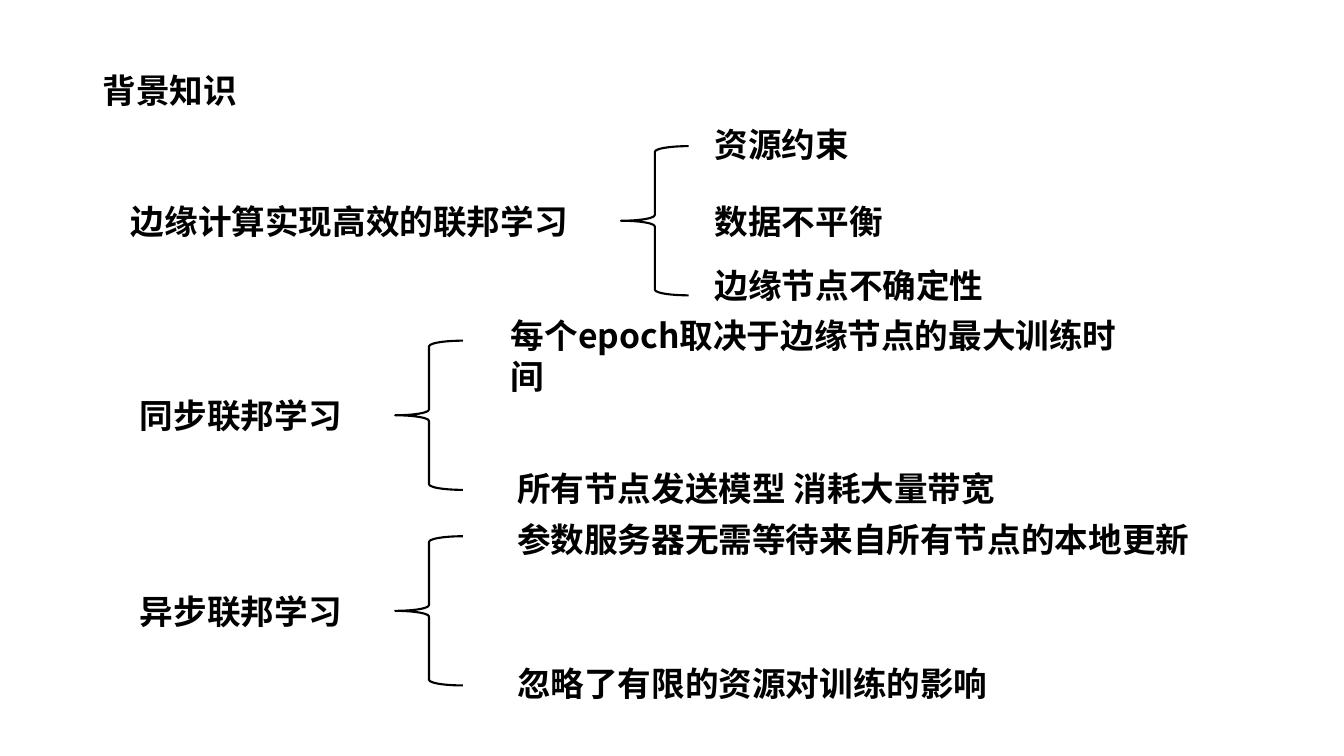
"""Builds a slide of federated learning background with braced branches."""
import pptx
import pptx.util
import pptx.dml.color
import pptx.enum.shapes
import pptx.enum.text
import pptx.oxml.ns
import lxml.etree

Inches = pptx.util.Inches
FONT = "Noto Sans CJK SC"
COLORS = {"ink": "000000", "paper": "FFFFFF"}
LINE_HEIGHT = 0.5
BRACE_SIZE = (0.67, 1.48)

TITLE = ("背景知识", 0.92, 0.64, 5.08, True)
GROUPS = [
    {
        "topic": ("边缘计算实现高效的联邦学习", 1.2, 1.94, 4.71, True),
        "brace_left": 6.16,
        "points": [
            ("资源约束", 6.99, 1.18, 1.53, False),
            ("数据不平衡", 6.99, 1.94, 1.87, False),
            ("边缘节点不确定性", 6.99, 2.58, 2.87, False),
        ],
    },
    {
        "topic": ("同步联邦学习", 1.29, 3.87, 2.2, False),
        "brace_left": 3.92,
        "points": [
            ("每个epoch取决于边缘节点的最大训练时间", 4.97, 3.08, 6.46, True),
            ("所有节点发送模型 消耗大量带宽", 5.03, 4.59, 4.96, False),
        ],
    },
    {
        "topic": ("异步联邦学习", 1.29, 5.81, 2.2, False),
        "brace_left": 3.92,
        "points": [
            ("参数服务器无需等待来自所有节点的本地更新", 5.03, 5.1, 6.87, False),
            ("忽略了有限的资源对训练的影响", 5.03, 6.53, 4.87, False),
        ],
    },
]


def color(name):
    return pptx.dml.color.RGBColor.from_string(COLORS[name])


def add_label(page, text, left, top, width, wrap):
    box = page.shapes.add_textbox(
        Inches(left), Inches(top), Inches(width), Inches(LINE_HEIGHT))
    frame = box.text_frame
    frame.word_wrap = wrap
    frame.auto_size = pptx.enum.text.MSO_AUTO_SIZE.SHAPE_TO_FIT_TEXT
    para = frame.paragraphs[0]
    para.text = text
    para.font.size = pptx.util.Pt(24)
    para.font.bold = True
    para.font.color.rgb = color("ink")
    para.font.name = FONT
    defaults = para._p.pPr.find(pptx.oxml.ns.qn("a:defRPr"))
    lxml.etree.SubElement(defaults, pptx.oxml.ns.qn("a:ea"), typeface=FONT)


def add_brace(page, left, middle):
    width, height = BRACE_SIZE
    brace = page.shapes.add_shape(
        pptx.enum.shapes.MSO_SHAPE.LEFT_BRACE,
        Inches(left), Inches(middle - height / 2), Inches(width), Inches(height))
    brace.shadow.inherit = False
    brace.fill.background()
    brace.line.color.rgb = color("ink")
    brace.line.width = pptx.util.Pt(1.5)


def main():
    deck = pptx.Presentation()
    deck.slide_width, deck.slide_height = Inches(13.33), Inches(7.5)
    page = deck.slides.add_slide(deck.slide_layouts[6])
    page.background.fill.solid()
    page.background.fill.fore_color.rgb = color("paper")
    add_label(page, *TITLE)
    for group in GROUPS:
        add_label(page, *group["topic"])
        topic_top = group["topic"][2]
        add_brace(page, group["brace_left"], topic_top + LINE_HEIGHT / 2)
        for point in group["points"]:
            add_label(page, *point)
    deck.save("out.pptx")


if __name__ == "__main__":
    main()
